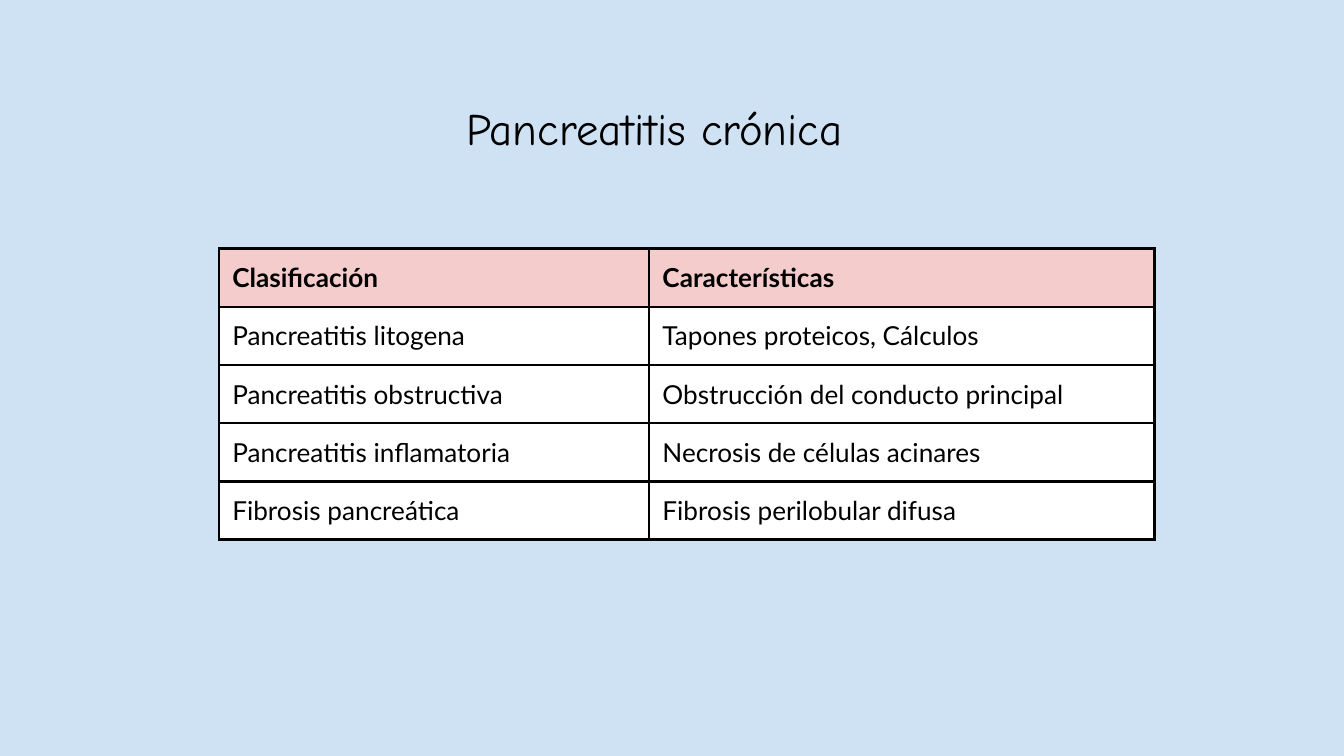
import pptx
import pptx.util
import pptx.dml.color
import pptx.enum.text
import pptx.oxml.ns
from lxml import etree

Cm, Pt = pptx.util.Cm, pptx.util.Pt
qn = pptx.oxml.ns.qn


def paint(fill, hue):
    fill.solid()
    fill.fore_color.rgb = pptx.dml.color.RGBColor.from_string(hue)


def style(part, text, font):
    frame = part.text_frame
    frame.text = text
    run = frame.paragraphs[0].runs[0]
    for key, value in font.items():
        setattr(run.font, key, value)
    paint(run.font.fill, "000000")


# Slide and background
deck = pptx.Presentation()
deck.slide_width, deck.slide_height = Cm(25.4), Cm(14.29)
slide = deck.slides.add_slide(deck.slide_layouts[5])
paint(slide.background.fill, "CFE2F3")

# Title
title = slide.shapes.title
title.left, title.top, title.width, title.height = Cm(5.92), Cm(1.65), Cm(12.9), Cm(1.45)
style(title, "Pancreatitis crónica", {"name": "Comic Neue", "size": Pt(24), "bold": False})
frame = title.text_frame
inset = {f"margin_{side}": Cm(0.25) for side in ("left", "right", "top", "bottom")}
form = {
    "word_wrap": True,
    "auto_size": pptx.enum.text.MSO_AUTO_SIZE.NONE,
    "vertical_anchor": pptx.enum.text.MSO_ANCHOR.TOP,
    **inset,
}
for key, value in form.items():
    setattr(frame, key, value)
frame.paragraphs[0].alignment = pptx.enum.text.PP_ALIGN.CENTER

# Table
rows = [
    ("Clasificación", "Características"),
    ("Pancreatitis litogena", "Tapones proteicos, Cálculos"),
    ("Pancreatitis obstructiva", "Obstrucción del conducto principal"),
    ("Pancreatitis inflamatoria", "Necrosis de células acinares"),
    ("Fibrosis pancreática", "Fibrosis perilobular difusa"),
]
widths = [Cm(8.13), Cm(9.55)]
height = Cm(1.1)
table = slide.shapes.add_table(
    len(rows), len(widths), Cm(4.14), Cm(4.7), sum(widths), height * len(rows)
).table
for column, width in zip(table.columns, widths):
    column.width = width

# Cells: borders come before the fill in the XML
for i, row in enumerate(rows):
    for j, text in enumerate(row):
        cell = table.cell(i, j)
        style(cell, text, {"name": "Lato", "size": Pt(14), "bold": i == 0})
        for key, value in inset.items():
            setattr(cell, key, value)
        props = cell._tc.get_or_add_tcPr()
        for side in "LRTB":
            line = etree.SubElement(props, qn(f"a:ln{side}"), w=str(Pt(1.5)))
            solid = etree.SubElement(line, qn("a:solidFill"))
            etree.SubElement(solid, qn("a:srgbClr"), val="000000")
        paint(cell.fill, "FFFFFF" if i else "F4CCCC")

deck.save("out.pptx")
